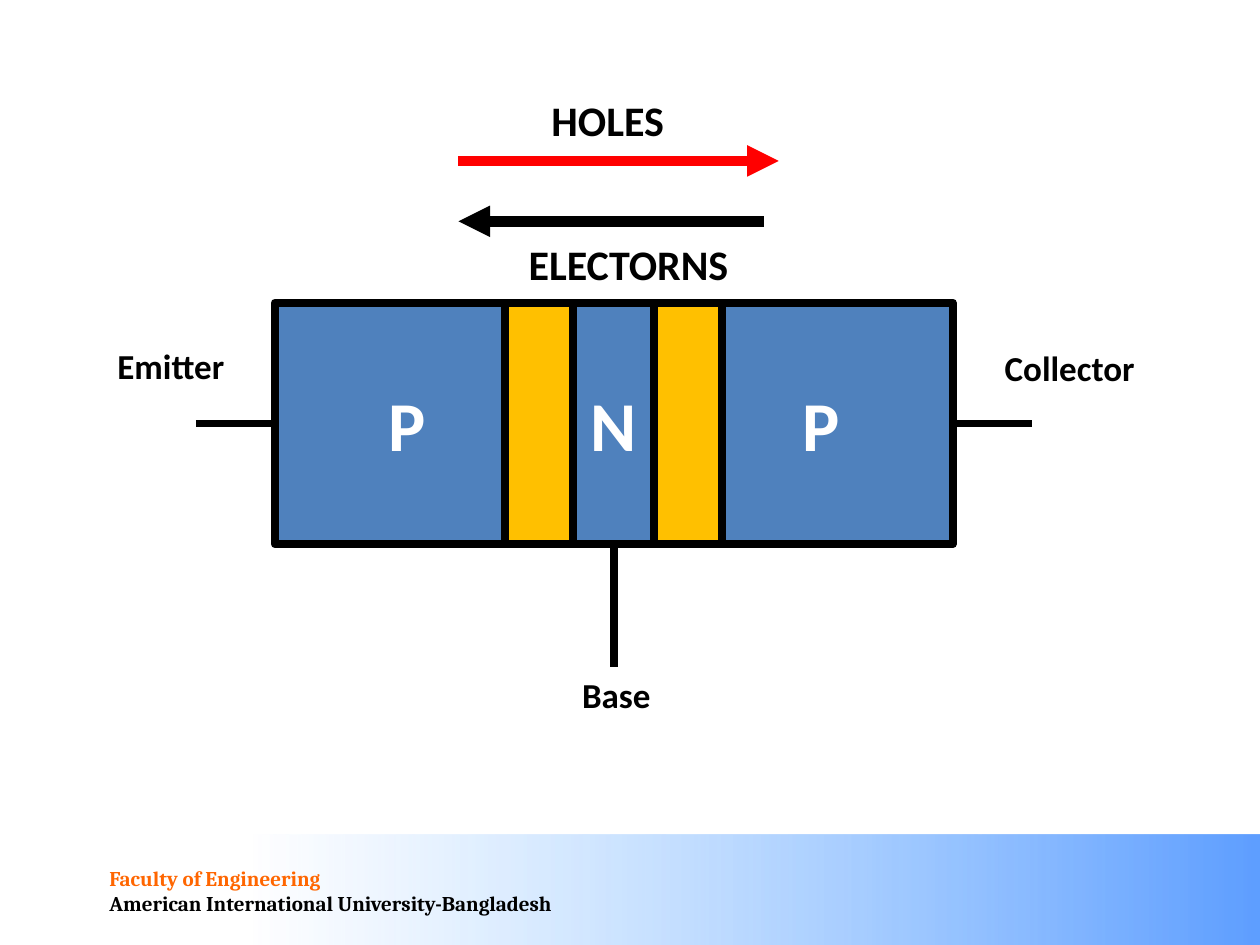
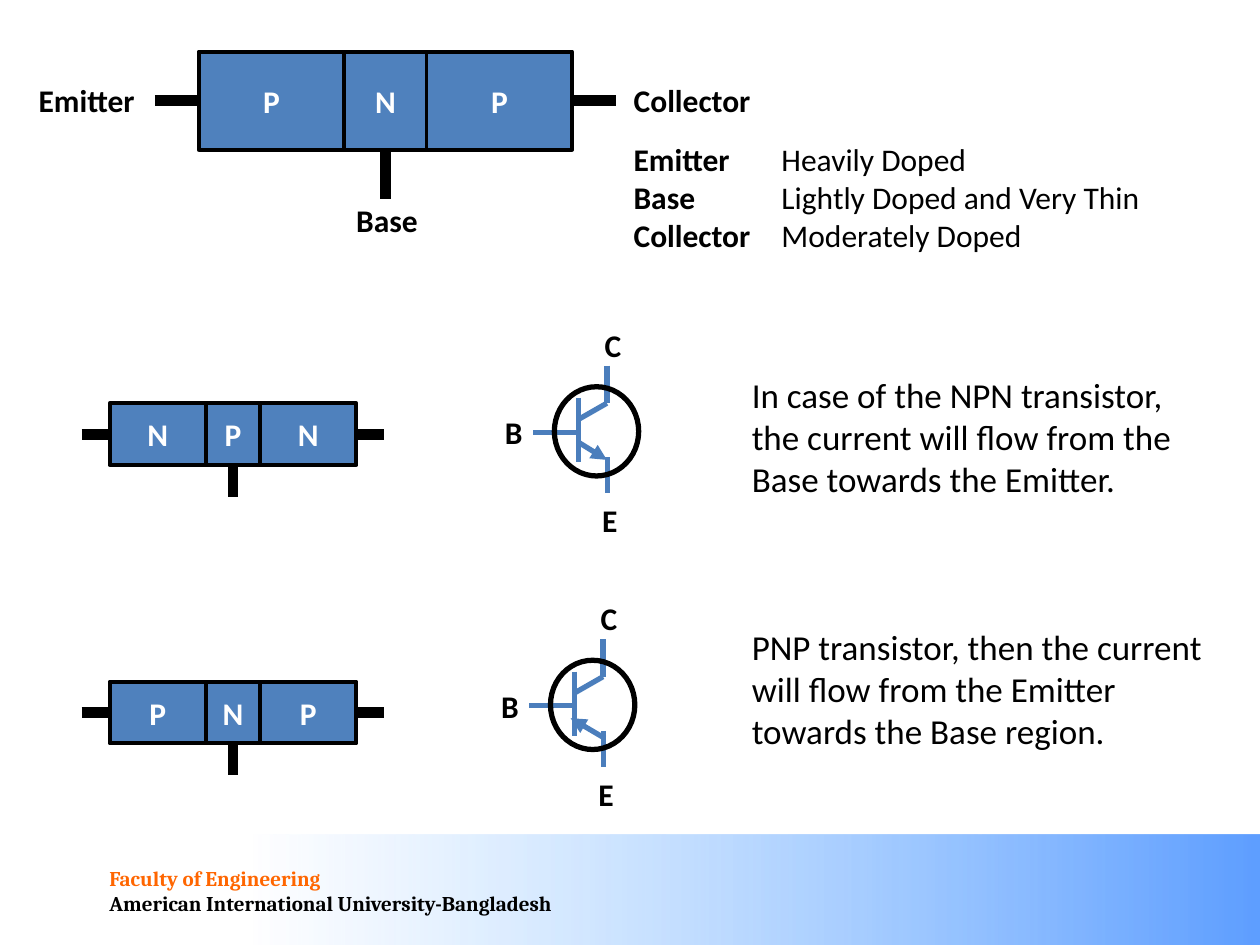
from lxml import etree
from pptx import Presentation
from pptx.dml.color import RGBColor
from pptx.enum import shapes as sh, text as tx
from pptx.oxml.ns import qn
from pptx.util import Pt

HUES = {"black": "000000", "white": "FFFFFF", "blue": "4F81BD", "wire": "4B7EBC",
        "gold": "FFC000", "red": "FF0000", "orange": "FF6600",
        "deep": "5E9EFF", "sky": "85C2FF"}

FOOTER = [("Faculty of Engineering", "orange"),
          ("American International University-Bangladesh", "black")]

SHARES = (0.39, 0.22, 0.39)
LARGE = dict(names="PNP", x=157, y=173, w=387.5, h=138, size=40, edge=4.5,
             side=45, drop=70, lead=4.5)
MEDIUM = dict(names="PNP", x=113.5, y=29.5, w=213.5, h=56, size=18, edge=2.25,
              side=25, drop=28.5, lead=6)
SMALL = dict(x=62.7, w=141, h=35.3, size=18, edge=2.25, side=16, drop=18, lead=6)

FLOW_TAGS = [("Collector", 567, 194.5, 89.5, 20), ("Emitter", 60, 193.5, 76.5, 20),
             ("Base", 325.5, 381.5, 54, 20), ("HOLES", 308, 50.5, 79, 24),
             ("ELECTORNS", 295, 133, 129.5, 24)]
FLOWS = [((262, 92), (445, 92), "red"), ((436.5, 126.5), (262, 126.5), "black")]
LAYER = 39

TYPE_TAGS = [("Collector", 355, 42.5, 81.5, 18), ("Emitter", 15, 42.5, 70.5, 18),
             ("Base", 196.5, 111.5, 49.5, 18)]
DOPING = [("Emitter", "Heavily Doped"), ("Base", "Lightly Doped and Very Thin"),
          ("Collector", "Moderately Doped")]
ROWS = [
    dict(names="NPN", y=230.5, ring=(316.8, 221), arrow=((13.7, 31.7), (30, 41.8)), top=210,
         note="In case of the NPN transistor, the current will flow "
              "from the Base towards the Emitter."),
    dict(names="PNP", y=389.5, ring=(314.6, 377.3), arrow=((31, 44.6), (11.5, 33.1)), top=354,
         note="PNP transistor, then the current will flow "
              "from the Emitter towards the Base region."),
]
WIRES = [((30, -12), (30, 9.4)), ((30.2, 40.3), (30.2, 61)), ((13.7, 6.5), (13.7, 43.2)),
         ((30, 9.4), (13.7, 18.7)), ((13.7, 26), (-12.2, 26))]
PINS = [("B", -35.3, 11.7), ("E", 20.2, 62), ("C", 21.6, -38.3)]


def rgb(hue):
    return RGBColor.from_string(HUES[hue])


def style(para, size, hue="black", bold=None, face="Calibri"):
    font = para.font
    font.name, font.size, font.bold = face, Pt(size), bold
    font.color.rgb = rgb(hue)


def shape(slide, kind, x, y, w, h, fill=None, edge=None):
    item = slide.shapes.add_shape(kind, Pt(x), Pt(y), Pt(w), Pt(h))
    item.shadow.inherit = False
    if fill:
        item.fill.solid()
        item.fill.fore_color.rgb = rgb(fill)
    else:
        item.fill.background()
    if edge:
        item.line.color.rgb = rgb("black")
        item.line.width = Pt(edge)
    else:
        item.line.fill.background()
    return item


def wire(slide, start, end, hue, width, head=False):
    item = slide.shapes.add_connector(sh.MSO_CONNECTOR.STRAIGHT,
                                      *(Pt(v) for v in (*start, *end)))
    item.line.color.rgb = rgb(hue)
    item.line.width = Pt(width)
    props = item.element.spPr
    if head:
        etree.SubElement(props.find(qn("a:ln")), qn("a:tailEnd"), type="triangle")
    etree.SubElement(props, qn("a:effectLst"))


def box(slide, x, y, w, h, wrap=False):
    frame = slide.shapes.add_textbox(Pt(x), Pt(y), Pt(w), Pt(h)).text_frame
    frame.word_wrap = wrap
    frame.auto_size = tx.MSO_AUTO_SIZE.SHAPE_TO_FIT_TEXT
    return frame


def paras(frame, count):
    return [frame.paragraphs[0]] + [frame.add_paragraph() for _ in range(count - 1)]


def tag(slide, words, x, y, w, size):
    para = box(slide, x, y, w, size * 1.2 + 7.2).paragraphs[0]
    para.text = words
    style(para, size, bold=True)


def base(deck):
    slide = deck.slides.add_slide(deck.slide_layouts[6])
    band = shape(slide, sh.MSO_SHAPE.RECTANGLE, 0, 477, 720, 63)
    band.fill.gradient()
    band.fill.gradient_angle = 180
    for stop, hue, place in zip(band.fill.gradient_stops, ("deep", "sky"), (0, 0.8)):
        stop.color.rgb = rgb(hue)
        stop.position = place
    clear = list(band.element.spPr.iter(qn("a:srgbClr")))[-1]
    etree.SubElement(clear, qn("a:alpha"), val="0")
    frame = box(slide, 55.5, 491, 273.5, 36)
    for para, (words, hue) in zip(paras(frame, len(FOOTER)), FOOTER):
        para.text = words
        style(para, 12, hue, True, "Cambria")
    return slide


def device(slide, names, x, y, w, h, size, edge, side, drop, lead):
    left, joints = x, []
    for name, share in zip(names, SHARES):
        part = shape(slide, sh.MSO_SHAPE.RECTANGLE, left, y, w * share, h, "blue", edge)
        part.text_frame.vertical_anchor = tx.MSO_ANCHOR.MIDDLE
        para = part.text_frame.paragraphs[0]
        para.text = name
        para.alignment = tx.PP_ALIGN.CENTER
        style(para, size, "white", True)
        left += w * share
        joints.append(left)
    mid, low, core = y + h / 2, y + h, x + w / 2
    for start, end in [((x + w, mid), (x + w + side, mid)),
                       ((x - side, mid), (x, mid)),
                       ((core, low), (core, low + drop))]:
        wire(slide, start, end, "black", lead)
    return joints[:2]


def symbol(slide, ring, arrow):
    def shift(spot):
        return ring[0] + spot[0], ring[1] + spot[1]

    for start, end in WIRES:
        wire(slide, shift(start), shift(end), "wire", 3)
    wire(slide, *map(shift, arrow), "wire", 3, True)
    shape(slide, sh.MSO_SHAPE.OVAL, *ring, 48.2, 51, edge=3)
    for name, *spot in PINS:
        tag(slide, name, *shift(spot), 25, 18)


def flow_slide(deck):
    slide = base(deck)
    for joint in device(slide, **LARGE):
        shape(slide, sh.MSO_SHAPE.RECTANGLE, joint - LAYER / 2, LARGE["y"],
              LAYER, LARGE["h"], "gold", LARGE["edge"])
    for start, end, hue in FLOWS:
        wire(slide, start, end, hue, 6, True)
    for item in FLOW_TAGS:
        tag(slide, *item)


def type_slide(deck):
    slide = base(deck)
    device(slide, **MEDIUM)
    for item in TYPE_TAGS:
        tag(slide, *item)
    frame = box(slide, 355, 76.5, 307, 73)
    for para, (name, level) in zip(paras(frame, len(DOPING)), DOPING):
        tabs = etree.SubElement(para._p.get_or_add_pPr(), qn("a:tabLst"))
        etree.SubElement(tabs, qn("a:tab"), pos=str(Pt(84.5)), algn="l")
        style(para, 18)
        for words, bold in ((name, True), ("\t" + level, False)):
            run = para.add_run()
            run.text = words
            run.font.bold = bold
    for row in ROWS:
        device(slide, names=row["names"], y=row["y"], **SMALL)
        symbol(slide, row["ring"], row["arrow"])
        para = box(slide, 422.5, row["top"], 278.5, 80, True).paragraphs[0]
        para.text = row["note"]
        style(para, 20)


def main():
    deck = Presentation()
    deck.slide_width, deck.slide_height = Pt(720), Pt(540)
    flow_slide(deck)
    type_slide(deck)
    deck.save("out.pptx")


if __name__ == "__main__":
    main()
